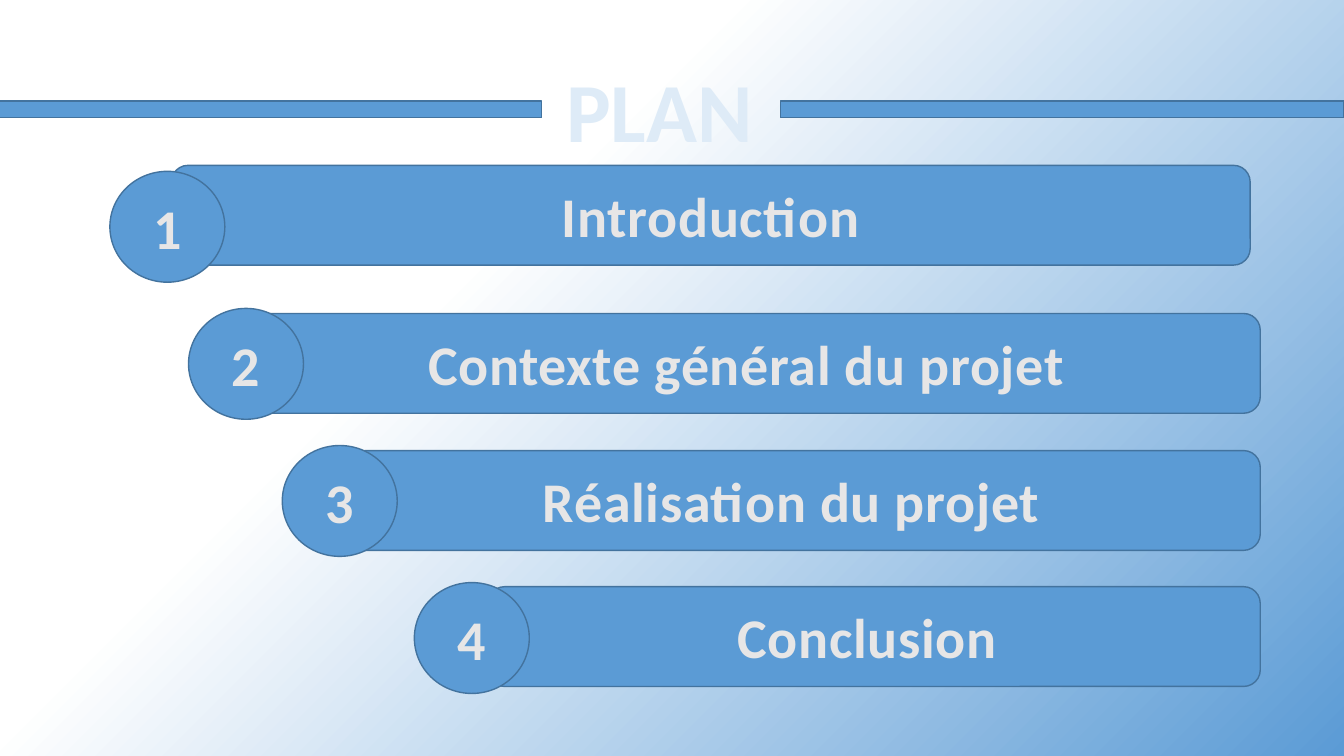
"""Build the agenda slide: a title between two rules and four numbered steps."""
import copy

import pptx
import pptx.dml.color
import pptx.enum.shapes
import pptx.enum.text
import pptx.util

SHAPES = pptx.enum.shapes.MSO_SHAPE
BLUE, OUTLINE, TITLE, LIGHT, WHITE = "5B9BD5", "43739E", "DEEBF7", "E7E6E6", "FFFFFF"
inches = pptx.util.Inches
rgb = pptx.dml.color.RGBColor.from_string


def write(shape, text, size, color, spacing=0):
    frame = shape.text_frame
    frame.text = text
    frame.word_wrap = True
    frame.vertical_anchor = pptx.enum.text.MSO_ANCHOR.MIDDLE
    paragraph = frame.paragraphs[0]
    paragraph.alignment = pptx.enum.text.PP_ALIGN.CENTER
    paragraph.line_spacing = 1.0
    font = paragraph.runs[0].font
    font.name, font.size, font.bold = "Calibri", pptx.util.Pt(size), True
    font.color.rgb = rgb(color)
    if spacing:
        paragraph.runs[0].font._element.set("spc", str(spacing))


def add_blue(kind, left, top, width, height):
    shape = slide.shapes.add_shape(
        kind, inches(left), inches(top), inches(width), inches(height))
    shape.shadow.inherit = False
    shape.fill.solid()
    shape.fill.fore_color.rgb = rgb(BLUE)
    shape.line.color.rgb = rgb(OUTLINE)
    shape.line.width = pptx.util.Pt(1)
    return shape


deck = pptx.Presentation()
deck.slide_width, deck.slide_height = inches(13.33), inches(7.5)
slide = deck.slides.add_slide(deck.slide_layouts[5])

backdrop = slide.background.fill
backdrop.gradient()
backdrop.gradient_angle = 315
first_stop = slide.element.xpath(".//a:gs")[0]
first_stop.addnext(copy.deepcopy(first_stop))
for stop, (position, color) in zip(
        backdrop.gradient_stops, [(0, WHITE), (0.35, WHITE), (1, BLUE)]):
    stop.color.rgb = rgb(color)
    stop.position = position

heading = slide.shapes.title
heading.left, heading.top = inches(5.34), inches(0.57)
heading.width, heading.height = inches(2.4), inches(1.02)
write(heading, "PLAN", 60, TITLE)

for rule_left in (-1.23, 6.73):
    rule = add_blue(SHAPES.MATH_MINUS, rule_left, 0.67, 7.61, 0.83)
    rule.adjustments[0] = 0.2

BAR_HEIGHT, BADGE_WIDTH, BADGE_HEIGHT = 0.99, 1.14, 1.1
FIRST_BADGE_TOP, STEP = 1.7, 1.36
steps = [
    ("Introduction", 1.09, 1.7, 1.64, 12.4, 0.1),
    ("Contexte général du projet", 1.87, 2.44, 3.11, 12.5, 0.23),
    ("Réalisation du projet", 2.8, 3.46, 4.47, 12.5, 0.36),
    ("Conclusion", 4.11, 4.84, 5.82, 12.5, 0.23),
]
for index, (topic, badge_left, bar_left, bar_top, bar_right, inset) in enumerate(steps):
    bar = add_blue(SHAPES.ROUNDED_RECTANGLE, bar_left, bar_top,
                   bar_right - bar_left, BAR_HEIGHT)
    write(bar, topic, 40, LIGHT, spacing=50)
    bar.text_frame.margin_right = inches(inset)
    badge = add_blue(SHAPES.FLOWCHART_CONNECTOR, badge_left,
                     FIRST_BADGE_TOP + index * STEP, BADGE_WIDTH, BADGE_HEIGHT)
    write(badge, str(index + 1), 40, LIGHT, spacing=50)

deck.save("out.pptx")
